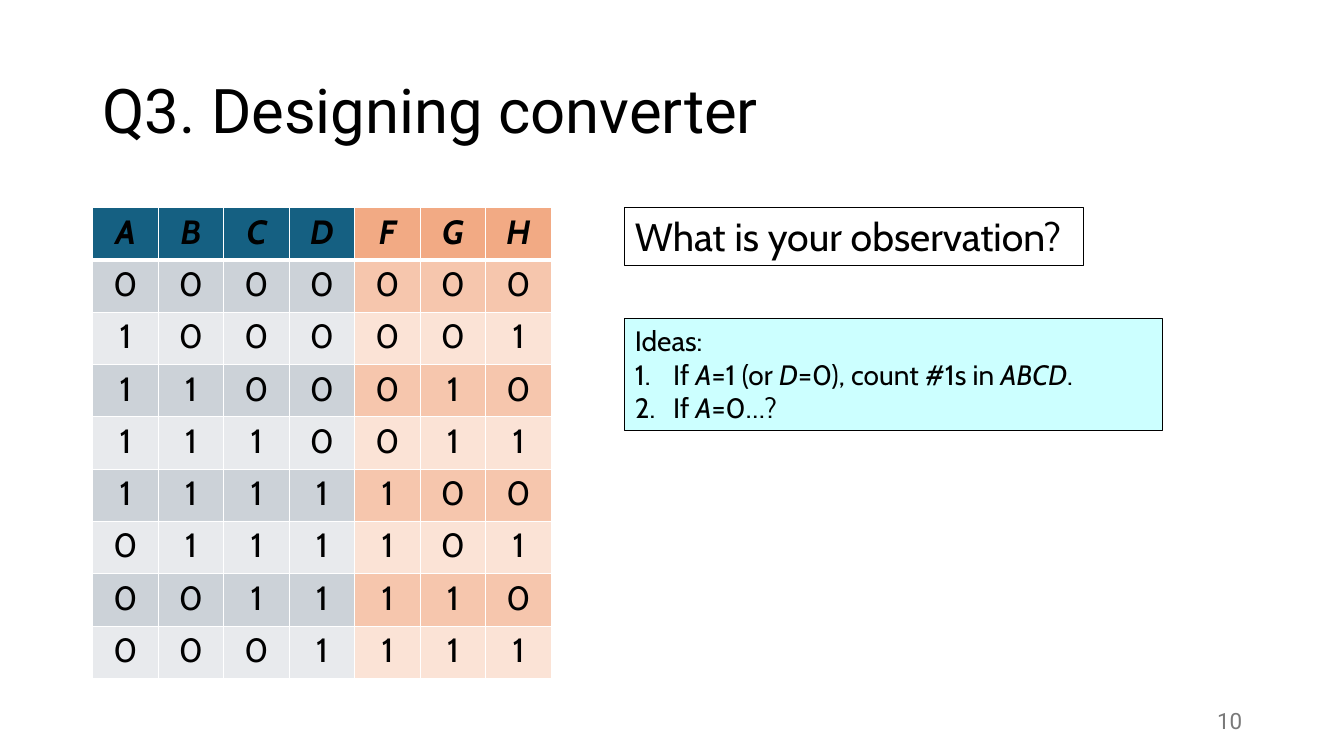
from dataclasses import dataclass

from lxml.etree import SubElement
from pptx import Presentation
from pptx.dml.color import RGBColor
from pptx.enum.shapes import MSO_SHAPE
from pptx.enum.text import MSO_ANCHOR as Anchor, MSO_AUTO_SIZE as AutoSize, PP_ALIGN as Align
from pptx.oxml.ns import qn
from pptx.util import Inches, Pt


@dataclass(frozen=True)
class Theme:
    heading: str = "Roboto"
    body: str = "Cabin"
    ink: str = "000000"
    muted: str = "797979"
    grid: str = "FFFFFF"
    ideas: str = "CCFFFF"
    # Header, odd row and even row fills
    inputs: tuple = ("156082", "CCD2D8", "E8EAED")
    outputs: tuple = ("F2AA84", "F6C6AD", "FBE3D6")
    title_size: int = 44
    question_size: int = 28
    table_size: int = 24
    ideas_size: int = 20
    number_size: int = 16


theme = Theme()
deck = Presentation()
deck.slide_width, deck.slide_height = Inches(13.33), Inches(7.5)
page = deck.slides.add_slide(deck.slide_layouts[6])


def area(left, top, width, height):
    """Turn percentages of the slide into lengths."""
    across, down = deck.slide_width / 100, deck.slide_height / 100
    return [round(v) for v in (left * across, top * down, width * across, height * down)]


def add_span(para, text, size, font=theme.body, color=theme.ink, bold=False, italic=False):
    span = para.add_run()
    span.text = text
    span.font.name, span.font.size = font, Pt(size)
    span.font.bold, span.font.italic = bold, italic
    span.font.color.rgb = RGBColor.from_string(color)


# Title and page number
for place, text, size, color, align in (
    (area(6.9, 5.33, 86.25, 19.33), "Q3. Designing converter", theme.title_size, theme.ink, Align.LEFT),
    (area(70.67, 92.67, 22.5, 5.33), "10", theme.number_size, theme.muted, Align.RIGHT),
):
    frame = page.shapes.add_textbox(*place).text_frame
    frame.word_wrap = True
    frame.vertical_anchor = Anchor.MIDDLE
    para = frame.paragraphs[0]
    para.alignment = align
    if size == theme.title_size:
        para.line_spacing = 0.9
    add_span(para, text, size, theme.heading, color)

# Truth table: a run of four ones moves through ABCD while FGH counts in binary
names = "ABCDFGH"
input_count = 4
rows = [names]
for step in range(8):
    code = "".join(str(int(col < step <= col + input_count)) for col in range(input_count))
    rows.append(code + f"{step:03b}")

table = page.shapes.add_table(len(rows), len(names), *area(6.9, 27.47, 34.13, 62.27)).table
table.first_row = table.horz_banding = False
for r, values in enumerate(rows):
    for c, value in enumerate(values):
        cell = table.cell(r, c)
        cell.margin_left = cell.margin_right = Inches(0.07)
        cell.margin_top = cell.margin_bottom = Inches(0.04)
        para = cell.text_frame.paragraphs[0]
        para.alignment = Align.CENTER
        add_span(para, value, theme.table_size, bold=r == 0, italic=r == 0)
        widths = {"lnL": 1, "lnR": 1, "lnT": 3 if r == 1 else 1, "lnB": 3 if r == 0 else 1}
        for side, width in widths.items():
            border = SubElement(cell._tc.get_or_add_tcPr(), qn(f"a:{side}"), w=str(Pt(width)))
            SubElement(SubElement(border, qn("a:solidFill")), qn("a:srgbClr"), val=theme.grid)
        fills = theme.inputs if c < input_count else theme.outputs
        cell.fill.solid()
        cell.fill.fore_color.rgb = RGBColor.from_string(fills[0 if r == 0 else 2 - r % 2])

# Question and ideas; each line is (numbered, spans), each span is (text, italic)
question = [(False, [("What is your observation?", False)])]
ideas = [
    (False, [("Ideas:", False)]),
    (True, [("If ", False), ("A", True), ("=1 (or ", False), ("D", True),
            ("=0), count #1s in ", False), ("ABCD", True), (".", False)]),
    (True, [("If ", False), ("A", True), ("=0…?", False)]),
]
for place, fill, size, lines in (
    (area(46.5, 27.47, 34.13, 7.6), None, theme.question_size, question),
    (area(46.5, 42.13, 40, 14.8), theme.ideas, theme.ideas_size, ideas),
):
    box = page.shapes.add_shape(MSO_SHAPE.RECTANGLE, *place)
    box.shadow.inherit = False
    box.line.color.rgb = RGBColor.from_string(theme.ink)
    box.line.width = Pt(0.75)
    if fill:
        box.fill.solid()
        box.fill.fore_color.rgb = RGBColor.from_string(fill)
    else:
        box.fill.background()
    frame = box.text_frame
    frame.word_wrap = True
    frame.auto_size = AutoSize.SHAPE_TO_FIT_TEXT
    frame.vertical_anchor = Anchor.TOP
    for index, (numbered, spans) in enumerate(lines):
        para = frame.add_paragraph() if index else frame.paragraphs[0]
        para.alignment = Align.LEFT
        if numbered:
            props = para._p.get_or_add_pPr()
            props.set("marL", str(Inches(0.38)))
            props.set("indent", str(-Inches(0.38)))
            SubElement(props, qn("a:buFont"), typeface="+mj-lt")
            SubElement(props, qn("a:buAutoNum"), type="arabicPeriod")
        for text, italic in spans:
            add_span(para, text, size, italic=italic)

deck.save("out.pptx")
